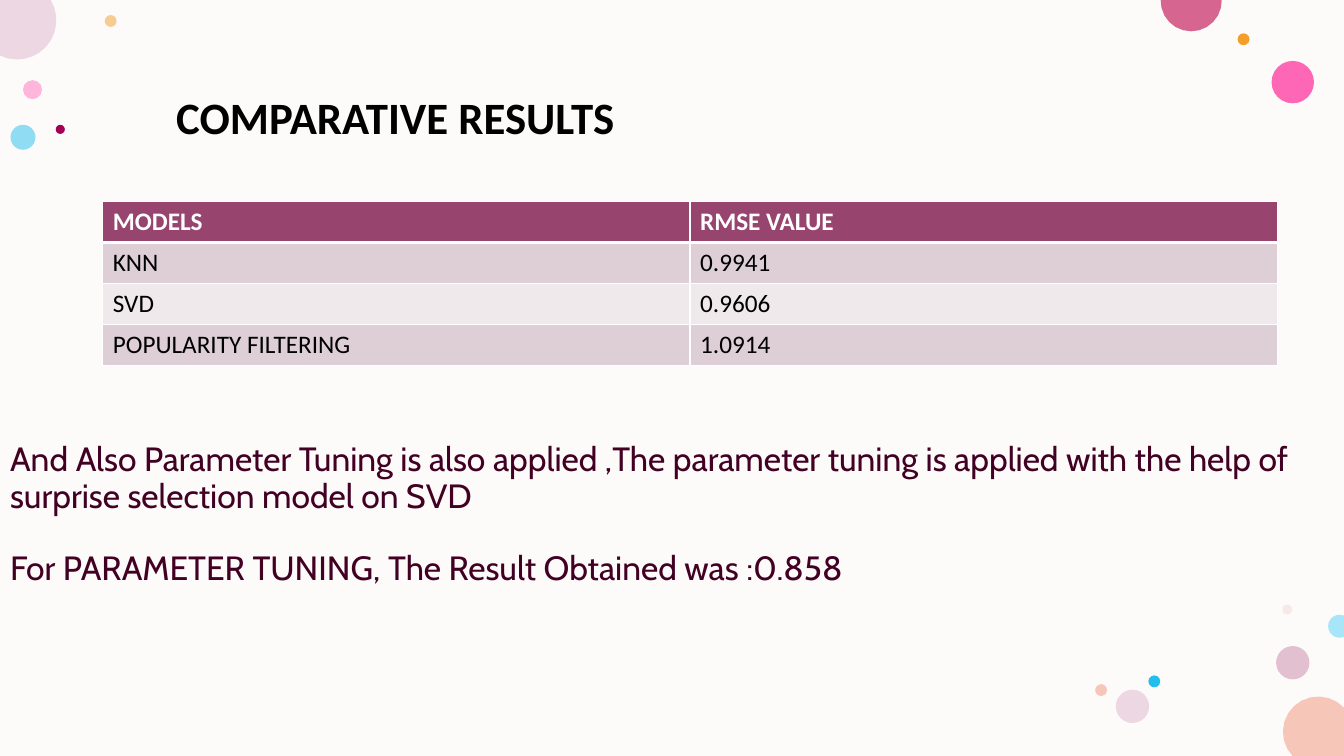
import math
from dataclasses import dataclass
from pptx import Presentation
from pptx import util as u
from pptx.dml.color import RGBColor
from pptx.enum import shapes, text
from pptx.oxml import ns
from lxml import etree


@dataclass(frozen=True)
class Theme:
    page: str = "FDFBF9"
    plum: str = "420023"
    ink: str = "000000"
    white: str = "FFFFFF"
    header: str = "97446E"
    bands: tuple = ("DDCFD5", "EFE9EB")
    body_font: str = "Cabin"
    table_font: str = "Calibri"
    heading_size: int = 32
    body_size: int = 24
    table_size: int = 18


def style_font(font, color, **values):
    for name, value in values.items():
        setattr(font, name, value)
    font.color.rgb = RGBColor.from_string(color)


def paint(figure, color, opacity=100):
    figure.shadow.inherit = False
    figure.fill.solid()
    figure.fill.fore_color.rgb = RGBColor.from_string(color)
    if opacity < 100:
        tint = next(figure._element.spPr.iter(ns.qn("a:srgbClr")))
        etree.SubElement(tint, ns.qn("a:alpha"), val=str(opacity * 1000))
    figure.line.fill.background()


theme = Theme()
page_width, page_height = 33.87, 19.05
deck = Presentation()
deck.slide_width, deck.slide_height = u.Cm(page_width), u.Cm(page_height)
slide = deck.slides.add_slide(deck.slide_layouts[5])

backdrop = slide.shapes.add_shape(
    shapes.MSO_SHAPE.RECTANGLE, 0, 0, deck.slide_width, deck.slide_height)
paint(backdrop, theme.page)

bubbles = [
    (0.82, 2.26, 0.48, "FF75BD", 50),
    (2.79, 0.53, 0.3, "F39E29", 50),
    (32.58, 16.7, 0.84, "C987A8", 50),
    (0.58, 3.46, 0.63, "24BEEE", 50),
    (32.58, 2.07, 1.07, "FF2F9C", 72),
    (31.34, 0.99, 0.3, "F39E29", 100),
    (32.44, 15.36, 0.25, "E3BEBE", 28),
    (29.09, 17.17, 0.3, "24BEEE", 100),
    (28.54, 17.8, 0.84, "EDD7E2", 100),
    (27.75, 17.39, 0.3, "F6C7B9", 100),
    (1.52, 3.26, 0.23, "A40056", 100),
]
for x, y, size, color, opacity in bubbles:
    bubble = slide.shapes.add_shape(
        shapes.MSO_SHAPE.OVAL,
        u.Cm(x - size / 2), u.Cm(y - size / 2), u.Cm(size), u.Cm(size))
    paint(bubble, color, opacity)

arc_steps = 12
edge_bubbles = [
    (33.22, 18.44, 0.89, 137, 317, [(page_width, page_height)], "F6C7B9"),
    (0.43, 0.51, 0.99, -31, 116, [(0, 0)], "EDD7E2"),
    (30.02, 0.02, 0.77, -2, 182, [], "D6658F"),
    (33.76, 15.78, 0.29, 68, 292, [], "A7E5F8"),
]
for x, y, radius, start, end, corners, color in edge_bubbles:
    rim = []
    for step in range(arc_steps + 1):
        angle = math.radians(start + (end - start) * step / arc_steps)
        rim.append((min(max(x + radius * math.cos(angle), 0), page_width),
                    min(max(y + radius * math.sin(angle), 0), page_height)))
    points = [(u.Cm(px), u.Cm(py)) for px, py in rim + corners]
    outline = slide.shapes.build_freeform(*points[0])
    outline.add_line_segments(points[1:], close=True)
    paint(outline.convert_to_shape(), color)

tuning = slide.shapes.title
slide.shapes._spTree.append(tuning._element)
tuning_place = {"left": u.Cm(0), "top": u.Cm(4.01),
                "width": u.Cm(33.25), "height": u.Cm(17.96)}
for name, value in tuning_place.items():
    setattr(tuning, name, value)
tuning_format = {"word_wrap": True, "auto_size": text.MSO_AUTO_SIZE.NONE,
                 "vertical_anchor": text.MSO_ANCHOR.MIDDLE}
for name, value in tuning_format.items():
    setattr(tuning.text_frame, name, value)
tuning.text_frame.text = (
    "And Also Parameter Tuning is also applied ,The parameter tuning is applied "
    "with the help of surprise selection model on SVD\n"
    "For PARAMETER TUNING, The Result Obtained was :0.858")
for sentence, gap in zip(tuning.text_frame.paragraphs, (0, 26)):
    sentence_format = {"alignment": text.PP_ALIGN.LEFT, "line_spacing": 0.9,
                       "space_before": u.Pt(gap)}
    for name, value in sentence_format.items():
        setattr(sentence, name, value)
    style_font(sentence.runs[0].font, theme.plum, name=theme.body_font,
               size=u.Pt(theme.body_size))

results = [
    ("MODELS", "RMSE VALUE"),
    ("KNN", "0.9941"),
    ("SVD", "0.9606"),
    ("POPULARITY FILTERING", "1.0914"),
]
row_height = 1.02
scores = slide.shapes.add_table(
    len(results), 2, u.Cm(2.59), u.Cm(5.08),
    u.Cm(29.6), u.Cm(row_height * len(results))).table
for row, entries in enumerate(results):
    scores.rows[row].height = u.Cm(row_height)
    is_header = row == 0
    fill = theme.header if is_header else theme.bands[(row - 1) % 2]
    for column, entry in enumerate(entries):
        cell = scores.cell(row, column)
        cell.text = entry
        style_font(cell.text_frame.paragraphs[0].runs[0].font,
                   theme.white if is_header else theme.ink,
                   name=theme.table_font, size=u.Pt(theme.table_size),
                   bold=is_header)
        cell_props = cell._tc.get_or_add_tcPr()
        widths = {"lnL": 1, "lnR": 1, "lnT": 3 if row == 1 else 1,
                  "lnB": 3 if is_header else 1}
        for side, width in widths.items():
            border = etree.SubElement(cell_props, ns.qn("a:" + side),
                                      w=str(u.Pt(width)))
            border_fill = etree.SubElement(border, ns.qn("a:solidFill"))
            etree.SubElement(border_fill, ns.qn("a:srgbClr"), val=theme.white)
        cell.fill.solid()
        cell.fill.fore_color.rgb = RGBColor.from_string(fill)

heading = slide.shapes.add_textbox(
    u.Cm(4.19), u.Cm(0.79), u.Cm(16.94), u.Cm(3))
heading_format = {"word_wrap": True, "margin_bottom": u.Cm(0.18),
                  "vertical_anchor": text.MSO_ANCHOR.BOTTOM}
for name, value in heading_format.items():
    setattr(heading.text_frame, name, value)
heading.text_frame.text = "COMPARATIVE RESULTS"
style_font(heading.text_frame.paragraphs[0].runs[0].font, theme.ink,
           name=theme.table_font, size=u.Pt(theme.heading_size), bold=True)

deck.save("out.pptx")
